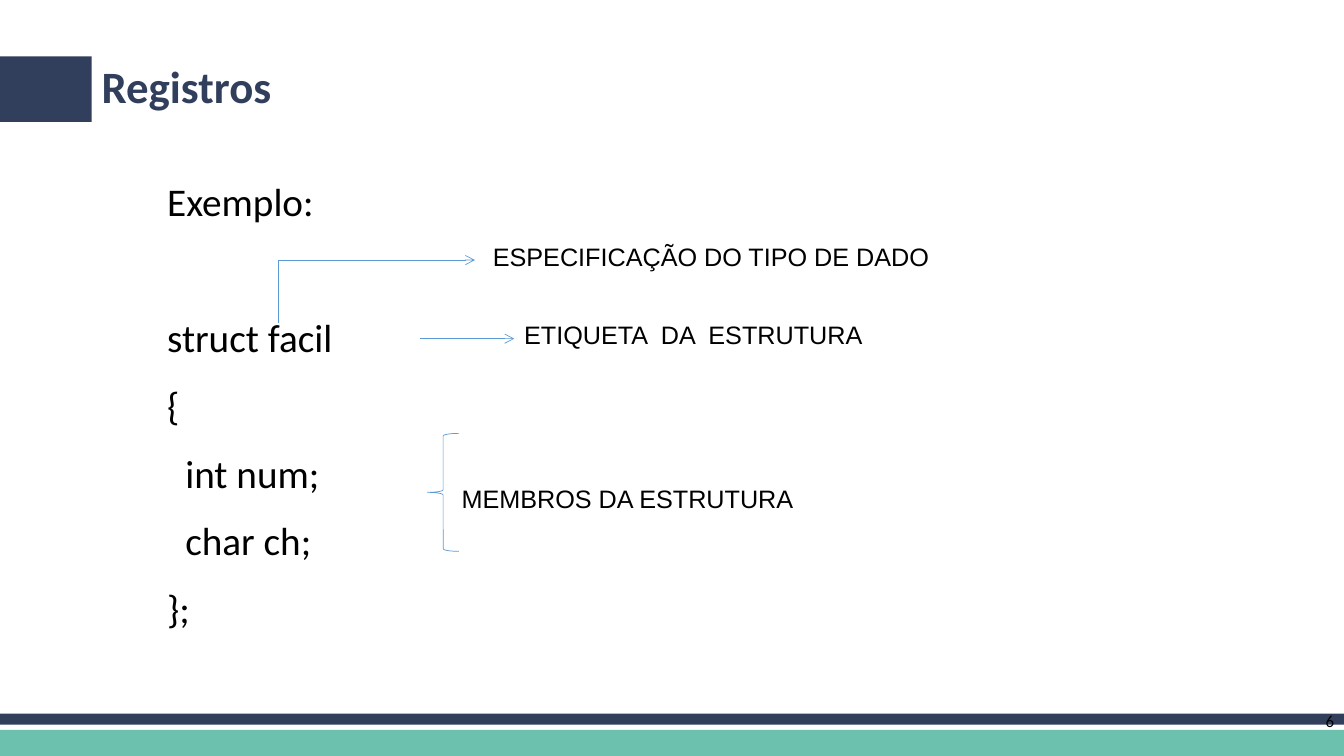
from dataclasses import dataclass

from lxml.etree import SubElement
from pptx import Presentation
from pptx.dml.color import RGBColor as RGB
from pptx.enum.shapes import MSO_CONNECTOR as CONN, MSO_SHAPE as SHAPE
from pptx.enum.text import MSO_ANCHOR as ANCHOR, PP_ALIGN as ALIGN
from pptx.oxml.ns import qn
from pptx.util import Inches, Pt


@dataclass(frozen=True)
class Theme:
    """Colours, fonts and type sizes of the slide."""
    navy: RGB = RGB(0x31, 0x3F, 0x5C)
    teal: RGB = RGB(0x6C, 0xC1, 0xAE)
    blue: RGB = RGB(0x5B, 0x9B, 0xD5)
    black: RGB = RGB(0, 0, 0)
    main: str = "Calibri"
    label: str = "Arial"
    title_size: int = 32
    code_size: int = 28
    label_size: int = 18
    number_size: int = 12
    line_width: float = 0.5


T = Theme()
WIDTH, HEIGHT = 13.33, 7.5


def set_all(target, values):
    """Set every attribute in the dict on the target."""
    for name, value in values.items():
        setattr(target, name, value)


def add_bar(s, box, color):
    """Add a plain filled rectangle."""
    bar = s.shapes.add_shape(SHAPE.RECTANGLE, *map(Inches, box))
    bar.shadow.inherit = False
    bar.fill.solid()
    bar.fill.fore_color.rgb = color
    bar.line.fill.background()


def add_text(s, box, lines, size, font=T.main, color=T.black, bold=False,
             wrap=True, anchor=ANCHOR.TOP, **para):
    """Add a text box with one paragraph per line and return the paragraphs."""
    tf = s.shapes.add_textbox(*map(Inches, box)).text_frame
    set_all(tf, {"word_wrap": wrap, "vertical_anchor": anchor})
    for i, line in enumerate(lines):
        p = tf.add_paragraph() if i else tf.paragraphs[0]
        set_all(p, para)
        r = p.add_run()
        r.text = line
        set_all(r.font, {"size": Pt(size), "name": font, "bold": bold})
        r.font.color.rgb = color
    return tf.paragraphs


def add_line(s, start, end, arrow=False):
    """Add a thin blue line, with an open arrowhead on request."""
    line = s.shapes.add_connector(CONN.STRAIGHT, *map(Inches, start + end))
    line.line.color.rgb = T.blue
    line.line.width = Pt(T.line_width)
    if arrow:
        SubElement(line.line._get_or_add_ln(), qn("a:tailEnd"), type="arrow")
    SubElement(line._element.spPr, qn("a:effectLst"))


def add_header(s, x, y, w, h):
    """Add the title with its navy tab on the left."""
    tab = 0.91
    add_bar(s, (x, y + 0.2, tab, 0.65), T.navy)
    add_text(s, (x + tab, y, w - tab, h), ["Registros"], T.title_size,
             color=T.navy, bold=True, anchor=ANCHOR.MIDDLE, line_spacing=0.9)


def add_footer(s, x, y, w, h):
    """Add the two footer bands and the slide number."""
    add_bar(s, (x, y + 0.16, w, h - 0.16), T.teal)
    add_bar(s, (x, y, w, 0.11), T.navy)
    add_text(s, (x + w - 2.33, y - 0.13, 2.33, 0.4), ["6"], T.number_size,
             anchor=ANCHOR.MIDDLE, alignment=ALIGN.RIGHT)


def add_code(s, x, y, w, h):
    """Add the struct example with its members indented."""
    lines = ["Exemplo:", "struct facil", "{", "int num;", "char ch;", "};"]
    paragraphs = add_text(s, (x, y, w, h), lines, T.code_size,
                          line_spacing=1.13, space_before=Pt(10.5))
    paragraphs[1].space_before = Pt(59)
    for p in paragraphs[3:5]:
        p._p.get_or_add_pPr().set("marL", str(Inches(0.18)))


def add_notes(s, x, y):
    """Add the labels, arrows and brace that explain the struct."""
    labels = [(2.03, 0, 4.74, "ESPECIFICAÇÃO DO TIPO DE DADO"),
              (2.34, 0.78, 3.59, "ETIQUETA  DA  ESTRUTURA"),
              (1.72, 2.41, 3.53, "MEMBROS DA ESTRUTURA")]
    for dx, dy, w, text in labels:
        add_text(s, (x + dx, y + dy, w, 0.4), [text], T.label_size,
                 font=T.label, wrap=False)
    corner = (x, y + 0.24)
    add_line(s, (x, y + 0.86), corner)
    add_line(s, corner, (x + 1.95, y + 0.24), arrow=True)
    add_line(s, (x + 1.41, y + 1.02), (x + 2.34, y + 1.02), arrow=True)
    brace = s.shapes.add_shape(SHAPE.LEFT_BRACE, Inches(x + 1.48),
                               Inches(y + 1.96), Inches(0.31), Inches(1.17))
    brace.shadow.inherit = False
    brace.fill.background()
    brace.line.color.rgb = T.blue
    brace.line.width = Pt(T.line_width)


def main():
    """Build the slide and save it."""
    prs = Presentation()
    set_all(prs, {"slide_width": Inches(WIDTH), "slide_height": Inches(HEIGHT)})
    s = prs.slides.add_slide(prs.slide_layouts[6])
    add_footer(s, 0, 7.08, WIDTH, HEIGHT - 7.08)
    add_header(s, 0, 0.36, 12.41, 1.05)
    add_code(s, 1.56, 1.65, 10.86, 4.93)
    add_notes(s, 2.76, 2.34)
    prs.save("out.pptx")


if __name__ == "__main__":
    main()
